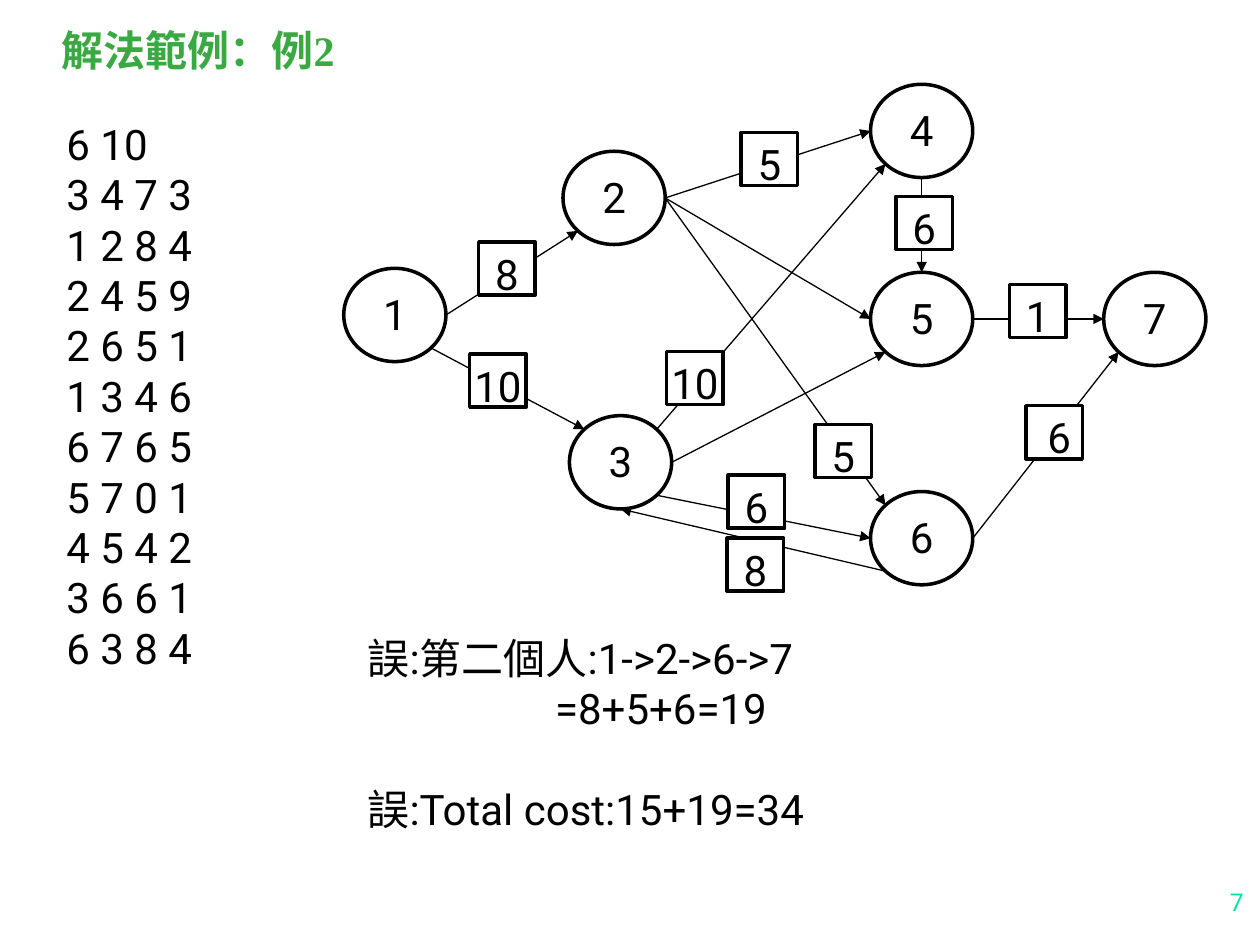
from math import cos, radians, sin

from lxml import etree
from pptx import Presentation
from pptx import util as u
from pptx.dml.color import RGBColor
from pptx.enum import shapes, text
from pptx.oxml.ns import qn

COLOURS = {"ink": "000000", "paper": "FFFFFF", "title": "3BA943", "number": "00E4A8"}
NODE_SIZE = (2.06, 1.88)
COST_SIZE = (1.14, 1.07)

# Left and top of each node, in cm
NODES = {
    "1": (6.93, 5.41), "2": (11.35, 3.05), "3": (11.48, 8.38), "4": (17.55, 1.7),
    "5": (17.55, 5.49), "6": (17.55, 9.91), "7": (22.25, 5.49),
}
# Angle of each point on a node's rim, clockwise from the right
RIM = {"E": 0, "SE": 45, "S": 90, "SW": 135, "W": 180, "N": 270, "NW": 225, "NE": 315}

# Start node and side, end node and side, cost, left and top of the cost box
EDGES = [
    ("1", "E", "2", "SW", "8", (9.65, 4.88)),
    ("2", "E", "5", "W", None, None),
    ("1", "SE", "3", "NW", "10", (9.47, 7.14)),
    ("3", "E", "5", "SW", None, None),
    ("3", "NE", "4", "SW", "10", (13.44, 7.09)),
    ("2", "E", "4", "W", "5", (14.94, 2.67)),
    ("2", "E", "6", "NW", "5", (16.43, 8.56)),
    ("6", "E", "7", "SW", " 6", (20.68, 8.18)),
    ("5", "E", "7", "W", "1", (20.35, 5.74)),
    ("4", "S", "5", "N", "6", (18.06, 3.96)),
    ("3", "SE", "6", "W", "6", (14.68, 9.58)),
    ("6", "SW", "3", "S", "8", (14.66, 10.85)),
]
INPUT_LINES = ["6 10", "3 4 7 3", "1 2 8 4", "2 4 5 9", "2 6 5 1", "1 3 4 6",
               "6 7 6 5", "5 7 0 1", "4 5 4 2", "3 6 6 1", "6 3 8 4"]


def rim_point(node, side):
    left, top = NODES[node]
    width, height = NODE_SIZE
    angle = radians(RIM[side])
    return (left + width / 2 * (1 + cos(angle)), top + height / 2 * (1 + sin(angle)))


class GraphSlide:
    font = "Roboto"
    size = 24

    def __init__(self, deck):
        self.page = deck.slides.add_slide(deck.slide_layouts[5])

    def colour(self, name):
        return RGBColor.from_string(COLOURS[name])

    def add_span(self, para, words, colour="ink", size=None, font=None, bold=False):
        span = para.add_run()
        span.text = words
        span.font.name = font or self.font
        span.font.size = u.Pt(size or self.size)
        span.font.bold = bold
        span.font.color.rgb = self.colour(colour)

    def title(self, words, left, top, width, height):
        box = self.page.shapes.title
        box.left, box.top, box.width, box.height = map(u.Cm, (left, top, width, height))
        frame = box.text_frame
        frame.auto_size = text.MSO_AUTO_SIZE.NONE
        frame.vertical_anchor = text.MSO_ANCHOR.TOP
        para = frame.paragraphs[0]
        para.alignment = text.PP_ALIGN.LEFT
        para.line_spacing = 0.9
        self.add_span(para, words, "title", font="Times New Roman", bold=True)

    def textbox(self, lines, left, top, width, height, **style):
        box = self.page.shapes.add_textbox(*map(u.Cm, (left, top, width, height)))
        frame = box.text_frame
        frame.word_wrap = True
        for index, line in enumerate(lines):
            para = frame.add_paragraph() if index else frame.paragraphs[0]
            self.add_span(para, line, **style)
        return frame

    def shape(self, kind, words, place, size):
        box = self.page.shapes.add_shape(kind, *map(u.Cm, place + size))
        box.shadow.inherit = False
        box.fill.solid()
        box.fill.fore_color.rgb = self.colour("paper")
        box.line.color.rgb = self.colour("ink")
        box.line.width = u.Pt(2)
        frame = box.text_frame
        frame.word_wrap = False
        frame.vertical_anchor = text.MSO_ANCHOR.TOP
        para = frame.paragraphs[0]
        para.alignment = text.PP_ALIGN.CENTER
        self.add_span(para, words)

    def arrow(self, start, end):
        line = self.page.shapes.add_connector(
            shapes.MSO_CONNECTOR.STRAIGHT, *map(u.Cm, start + end))
        line.line.color.rgb = self.colour("ink")
        line.line.width = u.Pt(0.75)
        outline = line._element.spPr.find(qn("a:ln"))
        etree.SubElement(outline, qn("a:tailEnd"), type="triangle")
        etree.SubElement(line._element.spPr, qn("a:effectLst"))


def main():
    deck = Presentation()
    deck.slide_width, deck.slide_height = u.Cm(25.4), u.Cm(19.05)
    slide = GraphSlide(deck)

    # Title and input data
    slide.title("解法範例：例2", 0.99, 0.48, 6.3, 1.19)
    slide.textbox(INPUT_LINES, 1.09, 2.26, 5.21, 11.43)

    # Graph: nodes, then arrows with their costs
    for name, place in NODES.items():
        slide.shape(shapes.MSO_SHAPE.OVAL, name, place, NODE_SIZE)
    for start, start_side, end, end_side, cost, place in EDGES:
        slide.arrow(rim_point(start, start_side), rim_point(end, end_side))
        if cost:
            slide.shape(shapes.MSO_SHAPE.RECTANGLE, cost, place, COST_SIZE)

    # Wrong answer, with its sum indented and the total set apart
    answer = slide.textbox(
        ["誤:第二個人:1->2->6->7", "=8+5+6=19", "誤:Total cost:15+19=34"],
        7.16, 12.62, 17.37, 4.32)
    answer.paragraphs[1]._p.get_or_add_pPr().set("marL", str(u.Cm(3.78)))
    answer.paragraphs[2].space_before = u.Pt(28.8)

    # Page number
    number = slide.textbox(["7"], 22.91, 17.32, 2.41, 1.27, colour="number", size=14)
    number.vertical_anchor = text.MSO_ANCHOR.BOTTOM
    number.paragraphs[0].alignment = text.PP_ALIGN.RIGHT

    deck.save("out.pptx")


if __name__ == "__main__":
    main()
